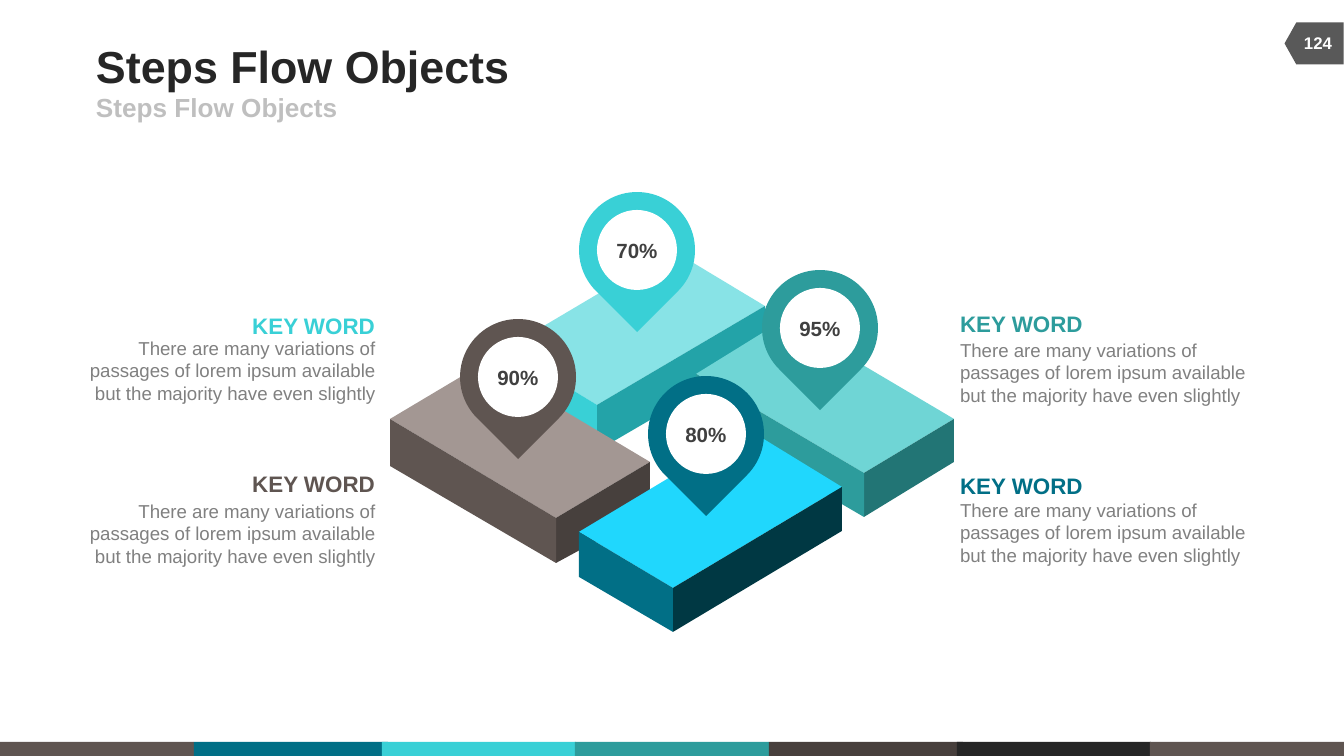
from dataclasses import dataclass

from pptx import Presentation
from pptx.dml.color import RGBColor
from pptx.enum.shapes import MSO_SHAPE
from pptx.enum.text import MSO_ANCHOR, PP_ALIGN
from pptx.shapes.autoshape import Shape
from pptx.slide import Slide
from pptx.util import Emu, Pt

EMU_PER_PX = 914400 / 134.4
SLIDE_WIDTH, SLIDE_HEIGHT = 1344, 756
FONT = "Arial"
COLORS = {
    "white": "FFFFFF", "ink": "262626", "number": "404040", "badge": "595959",
    "body": "808080", "subtitle": "BFBFBF",
    "brown": "5F5551", "brown_top": "A39793", "brown_dark": "47403D",
    "blue": "016F86", "blue_top": "20D7FD", "blue_dark": "003843",
    "aqua": "39D0D6", "aqua_top": "88E3E6", "aqua_dark": "23A3A8",
    "teal": "2D9C9C", "teal_top": "6FD5D5", "teal_dark": "227575",
    "umber": "473F3C",
}
BODY = ("There are many variations of passages of lorem ipsum available "
        "but the majority have even slightly")
Point = tuple[int, int]


@dataclass(frozen=True)
class Block:
    """A slab: corners of its top face, and the drop below left, front, right."""
    color: str
    left: Point
    back: Point
    right: Point
    front: Point
    drops: tuple[int, int, int]


@dataclass(frozen=True)
class Pin:
    color: str
    left: int
    top: int
    value: str


@dataclass(frozen=True)
class Caption:
    color: str
    on_left: bool
    heading_top: int
    body_top: int


BLOCKS = [
    Block("aqua", (505, 349), (672, 250), (765, 306), (597, 405), (47, 46, 47)),
    Block("teal", (696, 374), (785, 319), (954, 419), (864, 473), (45, 44, 43)),
    Block("brown", (390, 419), (484, 363), (650, 462), (556, 518), (47, 45, 50)),
    Block("blue", (579, 532), (749, 430), (842, 487), (673, 588), (45, 44, 44)),
]
PINS = [
    Pin("brown", 460, 319, "90%"),
    Pin("blue", 648, 376, "80%"),
    Pin("aqua", 579, 192, "70%"),
    Pin("teal", 762, 270, "95%"),
]
CAPTIONS = [
    Caption("blue", False, 472, 499),
    Caption("teal", False, 310, 339),
    Caption("brown", True, 470, 500),
    Caption("aqua", True, 312, 337),
]
STRIPES = [(0, "brown"), (194, "blue"), (382, "aqua"), (575, "teal"),
           (769, "umber"), (957, "ink"), (1150, "brown")]
STRIPE_WIDTH, STRIPE_HEIGHT = 194, 14
PIN_SIZE, PIN_RING = 116, 18
CAPTION_LEFT, CAPTION_RIGHT = 375, 960
HEADING_WIDTH, BODY_WIDTH = 124, 286


def px(length: int) -> Emu:
    return Emu(round(length * EMU_PER_PX))


def rgb(color: str) -> RGBColor:
    return RGBColor.from_string(COLORS[color])


def paint(shape: Shape, color: str) -> None:
    shape.shadow.inherit = False
    shape.fill.solid()
    shape.fill.fore_color.rgb = rgb(color)
    shape.line.fill.background()


def add_figure(slide: Slide, kind: MSO_SHAPE, left: int, top: int, width: int,
               height: int, color: str, rotation: int = 0) -> Shape:
    figure = slide.shapes.add_shape(kind, px(left), px(top), px(width), px(height))
    figure.rotation = rotation
    paint(figure, color)
    return figure


def write(shape: Shape, text: str, size: int, color: str, bold: bool = True,
          align: PP_ALIGN = PP_ALIGN.LEFT, wrap: bool = False) -> None:
    frame = shape.text_frame
    frame.margin_left = frame.margin_right = frame.margin_top = frame.margin_bottom = 0
    frame.vertical_anchor = MSO_ANCHOR.MIDDLE
    frame.word_wrap = wrap
    paragraph = frame.paragraphs[0]
    paragraph.alignment = align
    run = paragraph.add_run()
    run.text = text
    run.font.name = FONT
    run.font.size = Pt(size)
    run.font.bold = bold
    run.font.color.rgb = rgb(color)


def add_label(slide: Slide, left: int, top: int, width: int, height: int) -> Shape:
    return slide.shapes.add_textbox(px(left), px(top), px(width), px(height))


def add_face(slide: Slide, corners: list[Point], color: str) -> None:
    builder = slide.shapes.build_freeform(*corners[0], scale=EMU_PER_PX)
    builder.add_line_segments(corners[1:], close=True)
    paint(builder.convert_to_shape(), color)


def lowered(point: Point, drop: int) -> Point:
    return point[0], point[1] + drop


def add_block(slide: Slide, block: Block) -> None:
    left_drop, front_drop, right_drop = block.drops
    front_foot = lowered(block.front, front_drop)
    add_face(slide, [block.left, block.back, block.right, block.front],
             f"{block.color}_top")
    add_face(slide, [block.front, block.right, lowered(block.right, right_drop),
                     front_foot], f"{block.color}_dark")
    add_face(slide, [block.left, block.front, front_foot,
                     lowered(block.left, left_drop)], block.color)


def add_pin(slide: Slide, pin: Pin) -> None:
    add_figure(slide, MSO_SHAPE.TEAR, pin.left, pin.top, PIN_SIZE, PIN_SIZE,
               pin.color, rotation=135)
    dial_size = PIN_SIZE - 2 * PIN_RING
    dial = add_figure(slide, MSO_SHAPE.OVAL, pin.left + PIN_RING, pin.top + PIN_RING,
                      dial_size, dial_size, "white")
    write(dial, pin.value, 11, "number", align=PP_ALIGN.CENTER, wrap=True)


def add_caption(slide: Slide, caption: Caption) -> None:
    align = PP_ALIGN.RIGHT if caption.on_left else PP_ALIGN.LEFT

    def start(width: int) -> int:
        return CAPTION_LEFT - width if caption.on_left else CAPTION_RIGHT

    heading = add_label(slide, start(HEADING_WIDTH), caption.heading_top,
                        HEADING_WIDTH, 27)
    write(heading, "KEY WORD", 12, caption.color, align=align)
    body = add_label(slide, start(BODY_WIDTH), caption.body_top, BODY_WIDTH, 67)
    write(body, BODY, 10, "body", bold=False, align=align, wrap=True)


def main() -> None:
    deck = Presentation()
    deck.slide_width, deck.slide_height = px(SLIDE_WIDTH), px(SLIDE_HEIGHT)
    slide = deck.slides.add_slide(deck.slide_layouts[6])

    for left, color in STRIPES:
        add_figure(slide, MSO_SHAPE.RECTANGLE, left, SLIDE_HEIGHT - STRIPE_HEIGHT,
                   STRIPE_WIDTH, STRIPE_HEIGHT, color)
    add_figure(slide, MSO_SHAPE.FLOWCHART_OFFPAGE_CONNECTOR, 1293, 14, 42, 59,
               "badge", rotation=90)

    write(add_label(slide, 96, 39, 829, 53), "Steps Flow Objects", 24, "ink")
    write(add_label(slide, 96, 92, 605, 30), "Steps Flow Objects", 14, "subtitle")
    write(add_label(slide, 1292, 23, 52, 40), "124", 9, "white",
          align=PP_ALIGN.CENTER, wrap=True)

    for block in BLOCKS:
        add_block(slide, block)
    for pin in PINS:
        add_pin(slide, pin)
    for caption in CAPTIONS:
        add_caption(slide, caption)

    deck.save("out.pptx")


if __name__ == "__main__":
    main()
